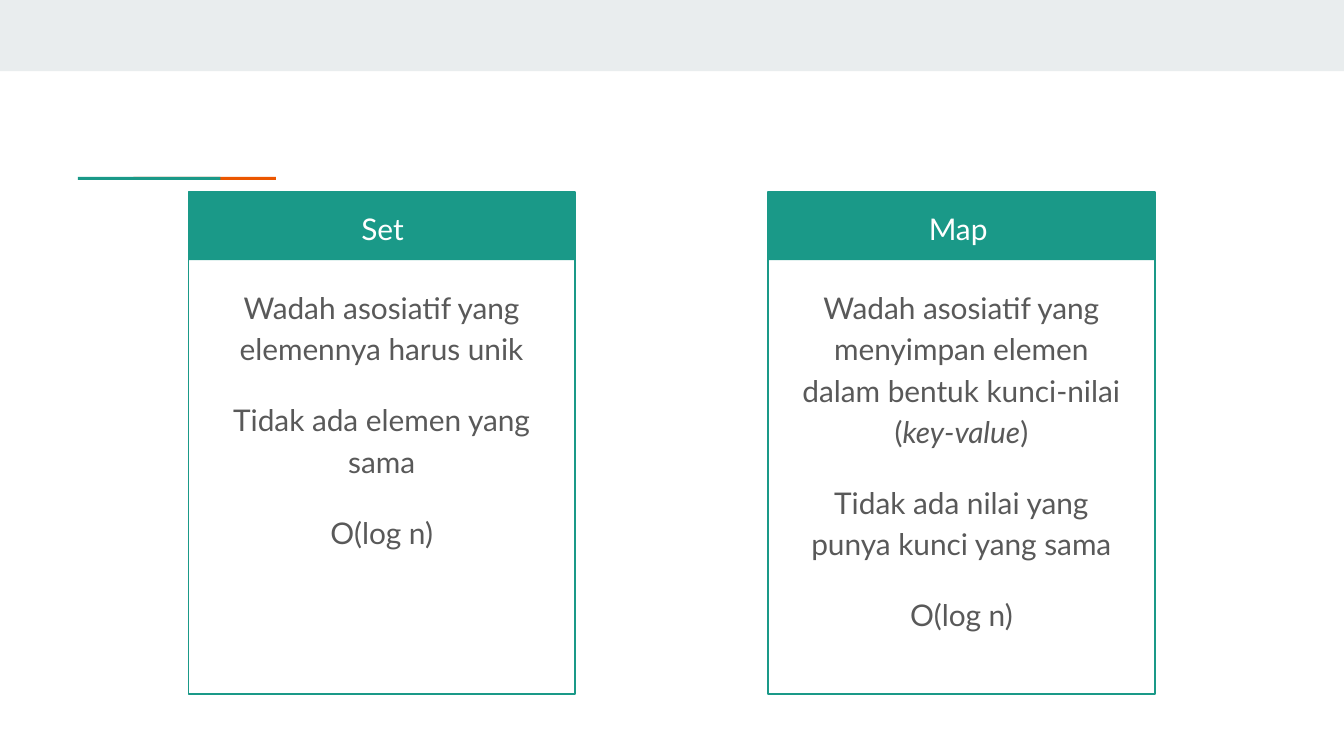
from pptx import Presentation
from pptx.dml.color import RGBColor
from pptx.enum.shapes import MSO_SHAPE as Preset
from pptx.enum.text import PP_ALIGN as Align
from pptx.util import Pt

TEAL, ORANGE, MIST, WHITE, GRAY = "1A9988", "EB5600", "E9EDEE", "FFFFFF", "595959"


def paint(color_format, value):
    """Set a colour format from a hex string."""
    color_format.rgb = RGBColor.from_string(value)


def block(slide, left, top, width, height, fill=None, line=None):
    """Draw a plain rectangle with an optional fill and outline."""
    rect = slide.shapes.add_shape(Preset.RECTANGLE, Pt(left), Pt(top), Pt(width), Pt(height))
    rect.shadow.inherit = False
    if fill:
        rect.fill.solid()
        paint(rect.fill.fore_color, fill)
    else:
        rect.fill.background()
    if line:
        paint(rect.line.color, line)
        rect.line.width = Pt(0.75)
    else:
        rect.line.fill.background()


def write(slide, box, paragraphs, color=GRAY, size=16, gap=16):
    """Write centred paragraphs of (text, format) runs in a box."""
    frame = slide.shapes.add_textbox(*map(Pt, box)).text_frame
    frame.word_wrap = True
    frame.margin_left = frame.margin_right = Pt(7.2)
    frame.margin_top = frame.margin_bottom = Pt(7.2)
    for index, runs in enumerate(paragraphs):
        paragraph = frame.paragraphs[0] if index == 0 else frame.add_paragraph()
        paragraph.alignment = Align.CENTER
        paragraph.line_spacing = 1.15
        paragraph.space_before = Pt(gap if index else 0)
        for text, style in runs:
            run = paragraph.add_run()
            run.text = text
            run.font.name = "Lato"
            run.font.size = Pt(style.get("size", size))
            run.font.italic = style.get("italic", False)
            paint(run.font.color, color)


def banner(slide, width):
    """Draw the top band and the two-colour accent rule."""
    block(slide, 0, 0, width, 38.2, fill=MIST)
    for left, color in ((71.5, ORANGE), (41.8, TEAL)):
        block(slide, left, 94.8, 76.3, 1.6, fill=color)


def card(slide, left, top, width, height, title, points):
    """Build a titled card with its points."""
    block(slide, left, top, width, 36.6, fill=TEAL)
    block(slide, left, top, width, height, line=TEAL)
    write(slide, (left + 5.8, top, 196.6, 36), [title], color=WHITE)
    write(slide, (left + 6, top + 42.5, 195.2, 220.3), points)


deck = Presentation()
deck.slide_width, deck.slide_height = Pt(720), Pt(405)
comparison = deck.slides.add_slide(deck.slide_layouts[6])
banner(comparison, 720)

complexity = [("O(log n)", {})]
containers = [
    ([("Set", {})],
     [[("Wadah asosiatif yang elemennya harus unik", {})],
      [("Tidak ada elemen yang sama", {})],
      complexity]),
    ([("Map", {}), ("\t", {"size": 13})],
     [[("Wadah asosiatif yang menyimpan elemen dalam bentuk kunci-nilai (", {}),
       ("key-value", {"italic": True}), (")", {})],
      [("Tidak ada nilai yang punya kunci yang sama", {})],
      complexity]),
]
for column, (title, points) in enumerate(containers):
    card(comparison, 100.9 + column * 310.6, 102.8, 207.2, 269, title, points)

deck.save("out.pptx")
